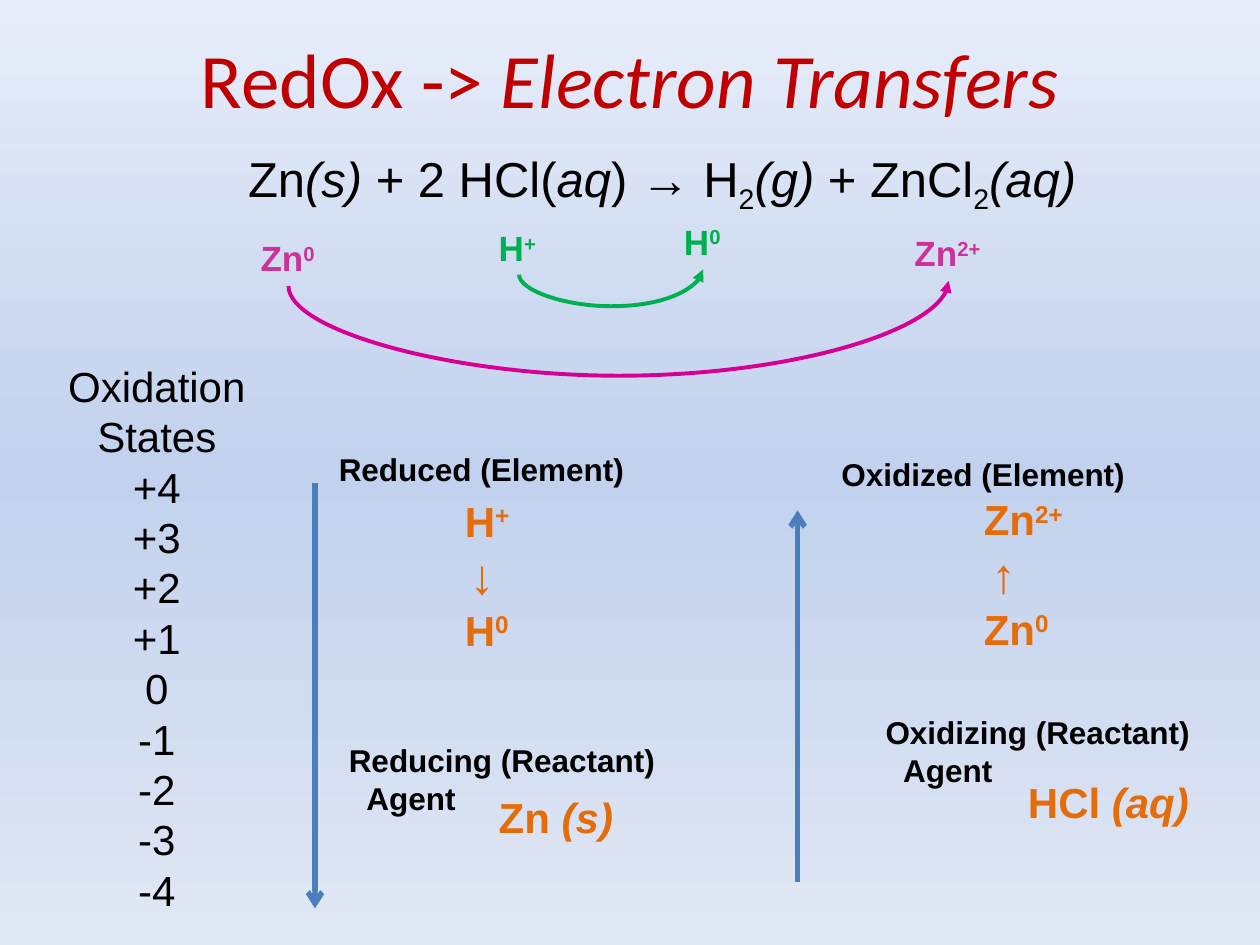
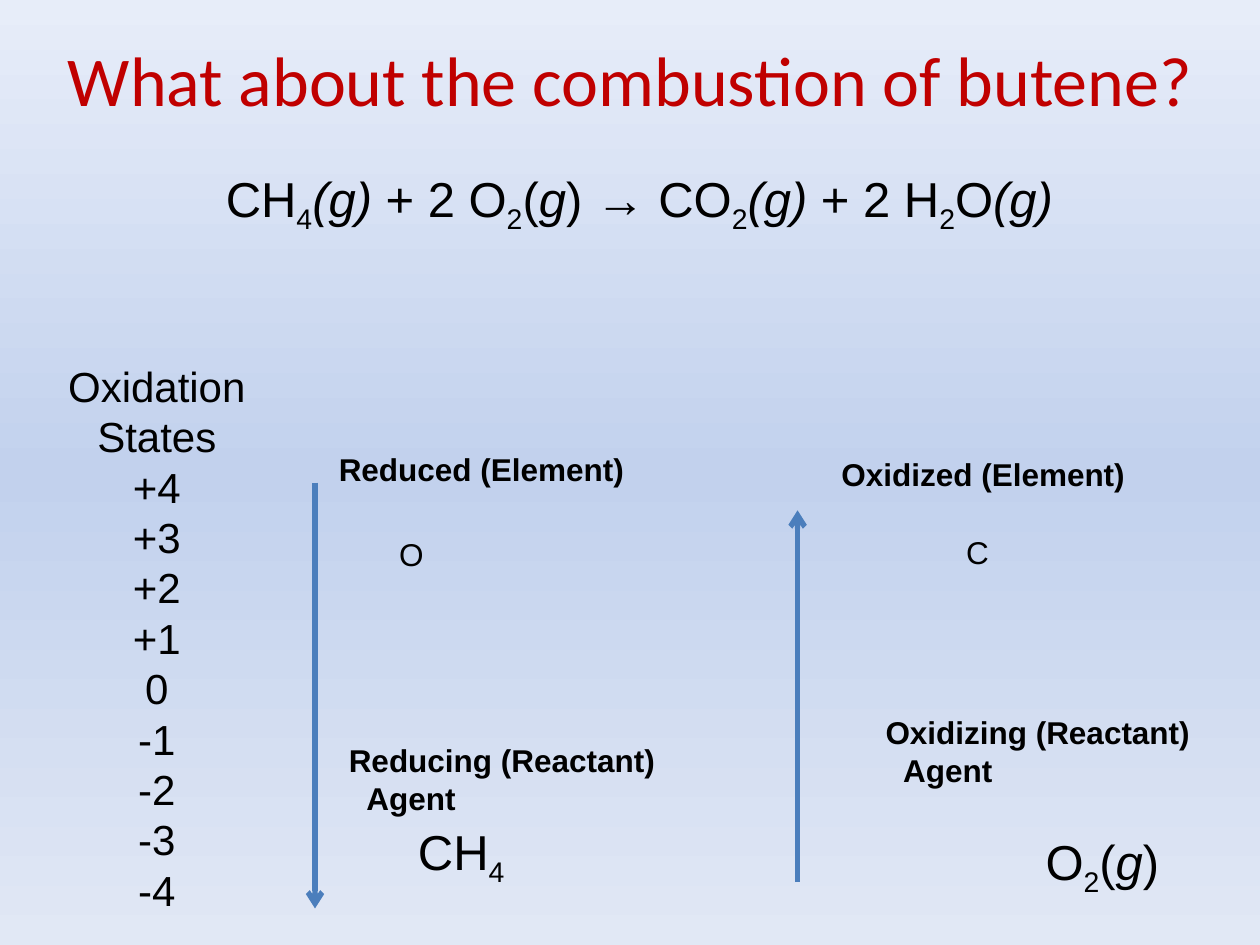
"""Builds two slides on redox reactions and oxidation states."""
import copy

from lxml import etree
from pptx import Presentation
from pptx import util as u
from pptx.dml.color import RGBColor
from pptx.enum import shapes, text
from pptx.oxml.ns import qn

COLORS = {
    "top": "E7EDF9", "middle": "C2D1ED", "bottom": "E1E8F5",
    "title": "C00000", "body": "000000", "answer": "E46C0A", "axis": "4B7EBC",
    "zinc": "CC3399", "zinc_curve": "D60093", "hydrogen": "00B050",
}
BASELINES = {"_": "-25000", "^": "30000"}
INDENTS = {"Agent": 0.14, "↓": 0.04, "↑": 0.06}
ARROW_SIZE = 28


def add_text(page, content, place, size=18, color="body", font="Arial", bold=False,
             center=False, wrap=False, middle=False):
    """Adds a text box; after a bar, _ lowers, ^ raises and / slants a span."""
    box = page.shapes.add_textbox(*[u.Inches(length) for length in place])
    frame = box.text_frame
    frame.word_wrap = wrap
    frame.auto_size = text.MSO_AUTO_SIZE.NONE if middle else text.MSO_AUTO_SIZE.SHAPE_TO_FIT_TEXT
    frame.vertical_anchor = text.MSO_ANCHOR.MIDDLE if middle else text.MSO_ANCHOR.TOP
    for index, line in enumerate(content.split("\n")):
        para = frame.add_paragraph() if index else frame.paragraphs[0]
        para.alignment = text.PP_ALIGN.CENTER if center else text.PP_ALIGN.LEFT
        if line in INDENTS:
            para._p.get_or_add_pPr().set("marL", str(u.Inches(INDENTS[line])))
        for piece in line.split("|"):
            mark = piece[0] if piece[0] in "_^/" else ""
            span = para.add_run()
            span.text = piece[len(mark):]
            span.font.name = font
            span.font.size = u.Pt(ARROW_SIZE if line in ("↓", "↑") else size)
            span.font.bold = bold
            span.font.italic = mark == "/"
            span.font.color.rgb = RGBColor.from_string(COLORS[color])
            if mark in BASELINES:
                span._r.get_or_add_rPr().set("baseline", BASELINES[mark])


def add_arrow(page, kind, ends, color, width, head):
    """Adds a connector with an arrowhead at its end."""
    arrow = page.shapes.add_connector(kind, *[u.Inches(length) for length in ends])
    arrow.line.color.rgb = RGBColor.from_string(COLORS[color])
    arrow.line.width = u.Pt(width)
    etree.SubElement(arrow.line._get_or_add_ln(), qn("a:tailEnd"), type=head)
    etree.SubElement(arrow._element.spPr, qn("a:effectLst"))
    return arrow


deck = Presentation()
deck.slide_width, deck.slide_height = u.Inches(10), u.Inches(7.5)

fill = deck.slide_master.background.fill
fill.gradient()
fill.gradient_angle = 270
stop_list = next(deck.slide_master.element.iter(qn("a:gsLst")))
stop_list.append(copy.deepcopy(stop_list[-1]))
for stop, name, position in zip(fill.gradient_stops, ("top", "middle", "bottom"), (0, 0.5, 1)):
    stop.color.rgb = RGBColor.from_string(COLORS[name])
    stop.position = position

states = ["Oxidation", "States"] + [f"{n:+d}" if n else "0" for n in range(4, -5, -1)]
labels = [
    ("Reduced (Element)", (2.59, 3.52, 2.49, 0.4)),
    ("Oxidized (Element)", (6.58, 3.56, 2.49, 0.4)),
    ("Reducing (Reactant)\nAgent", (2.67, 5.83, 2.64, 0.71)),
    ("Oxidizing (Reactant)\nAgent", (6.93, 5.61, 2.64, 0.71)),
]
headings = [
    ("RedOx -> |/Electron Transfers", 44, (0.75, 0.15, 8.5, 0.94)),
    ("What about the combustion of butene?", 40, (0, 0.15, 10, 0.94)),
]
equations = [
    ("Zn|/(s)| + 2 HCl(|/aq|) → H|_2|/(g)| + ZnCl|_2|/(aq)", (1.58, 1.13, 7.35, 0.57)),
    ("CH|_4|/(g)| + 2 O|_2|(|/g|) → CO|_2|/(g)| + 2 H|_2|O|/(g)", (0.91, 1.29, 8.33, 0.57)),
]

pages = []
for (heading, heading_size, heading_place), (equation, equation_place) in zip(headings, equations):
    page = deck.slides.add_slide(deck.slide_layouts[6])
    pages.append(page)
    add_text(page, heading, heading_place, size=heading_size, color="title", font="Calibri",
             center=True, wrap=True, middle=True)
    add_text(page, equation, equation_place, size=28, center=True, wrap=True)
    add_text(page, "\n".join(states), (0.43, 2.81, 1.63, 4.54), size=24, center=True)
    for label, place in labels:
        add_text(page, label, place, bold=True)
    for ends in ((2.5, 3.83, 2.5, 7.21), (6.33, 7, 6.33, 4.05)):
        add_arrow(page, shapes.MSO_CONNECTOR.STRAIGHT, ends, "axis", 3, "arrow")

zinc_page, butene_page = pages

for ion, place, color in [
    ("Zn|^0", (1.97, 1.83, 0.65, 0.44), "zinc"),
    ("Zn|^2+", (7.16, 1.79, 0.76, 0.44), "zinc"),
    ("H|^+", (3.86, 1.75, 0.51, 0.44), "hydrogen"),
    ("H|^0", (5.33, 1.7, 0.51, 0.44), "hydrogen"),
]:
    add_text(zinc_page, ion, place, size=20, color=color, bold=True)

for answer, place in [
    ("H|^+\n↓\nH|^0", (3.59, 3.88, 0.58, 1.38)),
    ("Zn|^2+\n↑\nZn|^0", (7.71, 3.87, 0.87, 1.38)),
    ("Zn |/(s)", (3.86, 6.23, 1.12, 0.5)),
    ("HCl |/(aq)", (8.06, 6.11, 1.49, 0.5)),
]:
    add_text(zinc_page, answer, place, size=24, color="answer", bold=True)

for x1, y1, x2, y2, lowest, color in [
    (4.12, 2.18, 5.58, 2.14, 2.43, "hydrogen"),
    (2.29, 2.27, 7.53, 2.23, 2.98, "zinc_curve"),
]:
    middle_x, middle_y = (x1 + x2) / 2, (y1 + y2) / 2
    rise, reach = y1 - y2, x2 - x1
    turned_ends = (middle_x + rise / 2, middle_y + reach / 2,
                   middle_x - rise / 2, middle_y - reach / 2)
    curve = add_arrow(zinc_page, shapes.MSO_CONNECTOR.CURVE, turned_ends, color, 2.25, "triangle")
    curve._element.spPr.find(qn("a:xfrm")).set("rot", str(90 * 60000))
    bend = round((y1 - lowest) / rise * 100000)
    guides = next(curve._element.iter(qn("a:avLst")))
    etree.SubElement(guides, qn("a:gd"), name="adj1", fmla=f"val {bend}")

add_text(butene_page, "O", (3.07, 4.2, 0.39, 0.4))
add_text(butene_page, "C", (7.57, 4.18, 0.38, 0.4))
add_text(butene_page, "CH|_4", (2.49, 6.47, 2.34, 0.57), size=28, center=True, wrap=True)
add_text(butene_page, "O|_2|(|/g|)", (7.5, 6.55, 2.5, 0.57), size=28, center=True, wrap=True)

deck.save("out.pptx")
